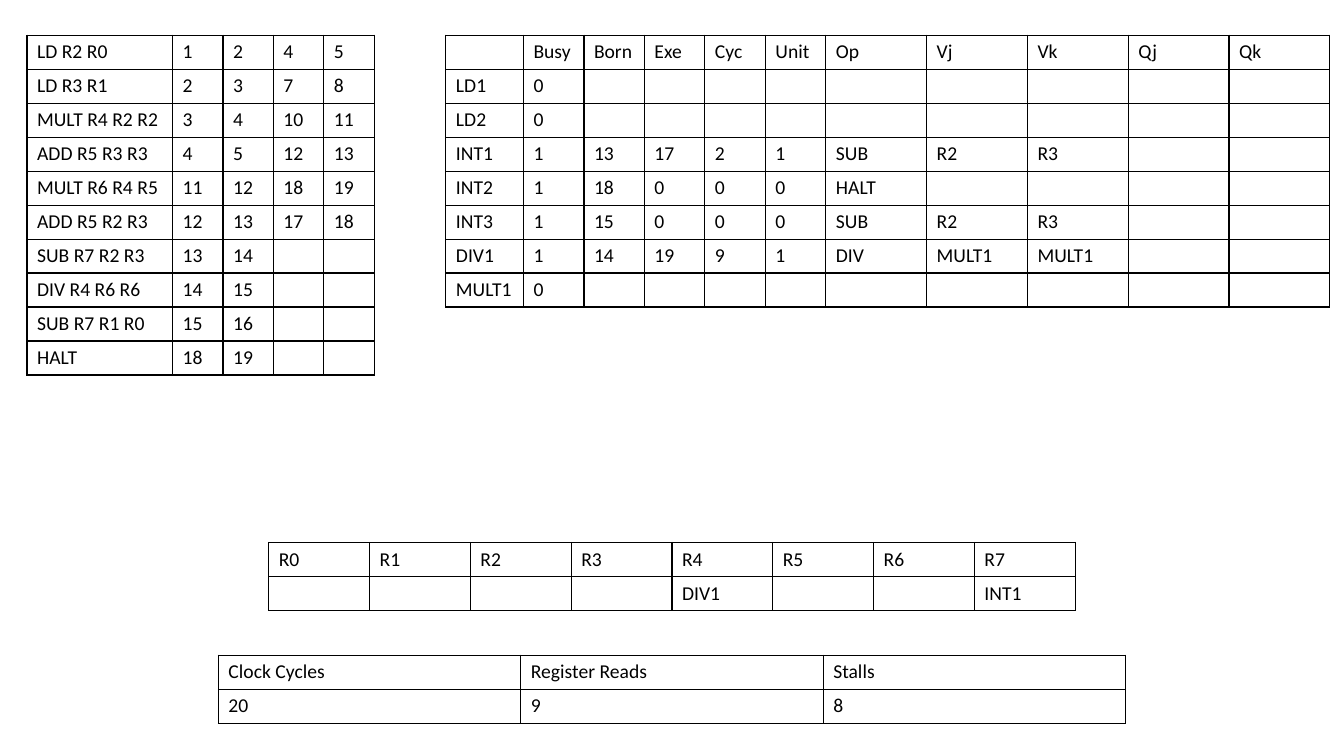
"""Build a slide of Tomasulo scheduling tables: instructions, stations, registers, totals."""
import lxml.etree
import pptx
import pptx.dml.color
import pptx.oxml.ns
import pptx.util

Pt = pptx.util.Pt
COLOURS = {"ink": "000000", "paper": "FFFFFF"}
FONT_NAME = "Calibri"
FONT_SIZE = 14
ROW_HEIGHT = 24

INSTRUCTIONS = [
    ["LD R2 R0", "1", "2", "4", "5"],
    ["LD R3 R1", "2", "3", "7", "8"],
    ["MULT R4 R2 R2", "3", "4", "10", "11"],
    ["ADD R5 R3 R3", "4", "5", "12", "13"],
    ["MULT R6 R4 R5", "11", "12", "18", "19"],
    ["ADD R5 R2 R3", "12", "13", "17", "18"],
    ["SUB R7 R2 R3", "13", "14"],
    ["DIV R4 R6 R6", "14", "15"],
    ["SUB R7 R1 R0", "15", "16"],
    ["HALT", "18", "19"],
]
STATIONS = [
    ["", "Busy", "Born", "Exe", "Cyc", "Unit", "Op", "Vj", "Vk", "Qj", "Qk"],
    ["LD1", "0"],
    ["LD2", "0"],
    ["INT1", "1", "13", "17", "2", "1", "SUB", "R2", "R3"],
    ["INT2", "1", "18", "0", "0", "0", "HALT"],
    ["INT3", "1", "15", "0", "0", "0", "SUB", "R2", "R3"],
    ["DIV1", "1", "14", "19", "9", "1", "DIV", "MULT1", "MULT1"],
    ["MULT1", "0"],
]
REGISTERS = [
    [f"R{number}" for number in range(8)],
    ["", "", "", "", "DIV1", "", "", "INT1"],
]
TOTALS = [
    ["Clock Cycles", "Register Reads", "Stalls"],
    ["20", "9", "8"],
]


def add_element(parent, tag, **attributes):
    """Append a DrawingML element and return it."""
    return lxml.etree.SubElement(parent, pptx.oxml.ns.qn(tag), **attributes)


def set_borders(cell):
    """Draw a one-point line on every side of a cell."""
    properties = cell._tc.get_or_add_tcPr()
    for side in ("a:lnL", "a:lnR", "a:lnT", "a:lnB"):
        line = add_element(properties, side, w=str(Pt(1)))
        fill = add_element(line, "a:solidFill")
        add_element(fill, "a:srgbClr", val=COLOURS["ink"])


def fill_cell(cell, text):
    """Write and format one cell, keeping the text size where it is empty."""
    set_borders(cell)
    cell.fill.solid()
    cell.fill.fore_color.rgb = pptx.dml.color.RGBColor.from_string(COLOURS["paper"])
    para = cell.text_frame.paragraphs[0]
    para.text = text
    for span in para.runs:
        span.font.name = FONT_NAME
        span.font.size = Pt(FONT_SIZE)
        span.font.color.rgb = pptx.dml.color.RGBColor.from_string(COLOURS["ink"])
    if not text:
        add_element(para._p, "a:endParaRPr", sz=str(FONT_SIZE * 100))


def add_grid(page, left, top, widths, rows):
    """Add a plain ruled table, padding short rows with empty cells."""
    frame = page.shapes.add_table(
        len(rows), len(widths), Pt(left), Pt(top),
        Pt(sum(widths)), Pt(ROW_HEIGHT * len(rows)))
    table = frame.table
    table.first_row = False
    table.horz_banding = False
    for column, width in zip(table.columns, widths):
        column.width = Pt(width)
    for row_index, texts in enumerate(rows):
        table.rows[row_index].height = Pt(ROW_HEIGHT)
        padded = texts + [""] * (len(widths) - len(texts))
        for column_index, text in enumerate(padded):
            fill_cell(table.cell(row_index, column_index), text)


def main():
    """Create the deck and place the four tables."""
    deck = pptx.Presentation()
    deck.slide_width = Pt(960)
    deck.slide_height = Pt(540)
    page = deck.slides.add_slide(deck.slide_layouts[6])
    add_grid(page, 19.3, 25.2, [104] + [36] * 4, INSTRUCTIONS)
    add_grid(page, 318.5, 25.2, [55.4] + [43.2] * 5 + [72] * 5, STATIONS)
    add_grid(page, 192, 387.5, [72] * 8, REGISTERS)
    add_grid(page, 156, 468, [216] * 3, TOTALS)
    deck.save("out.pptx")


if __name__ == "__main__":
    main()
